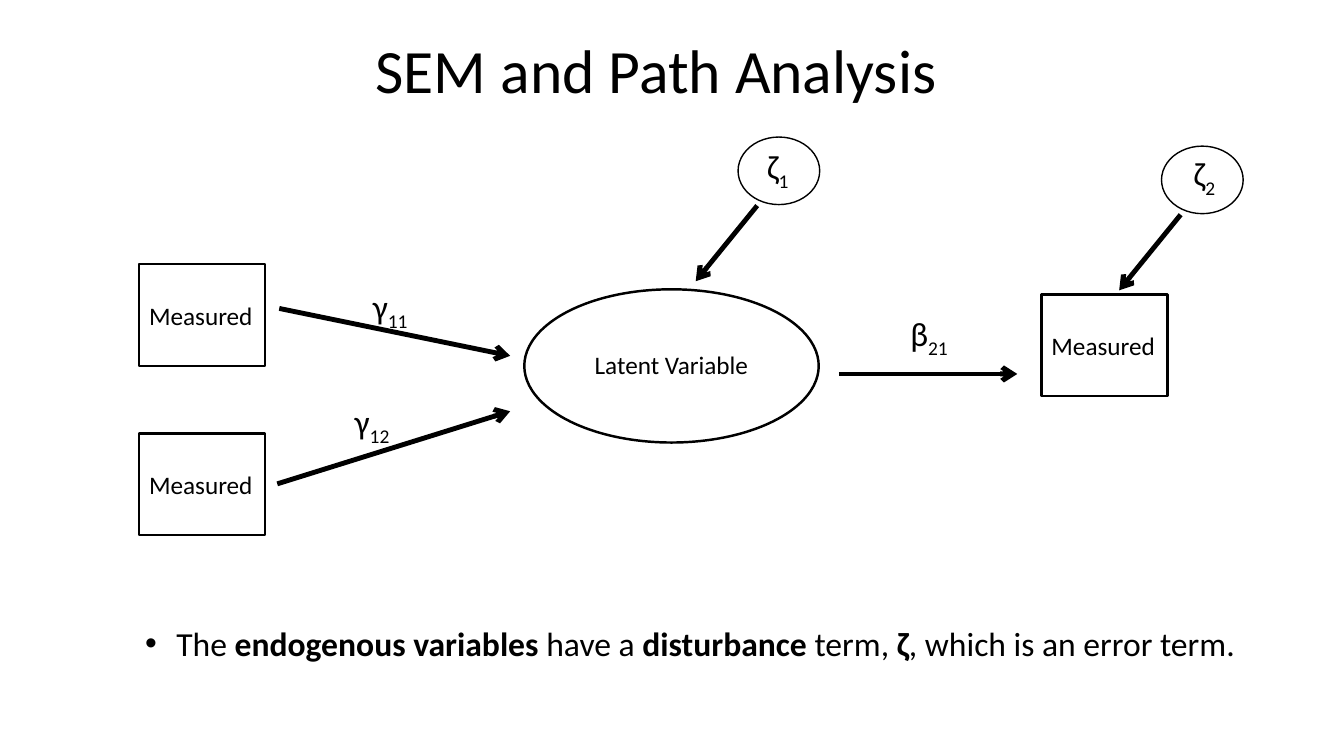
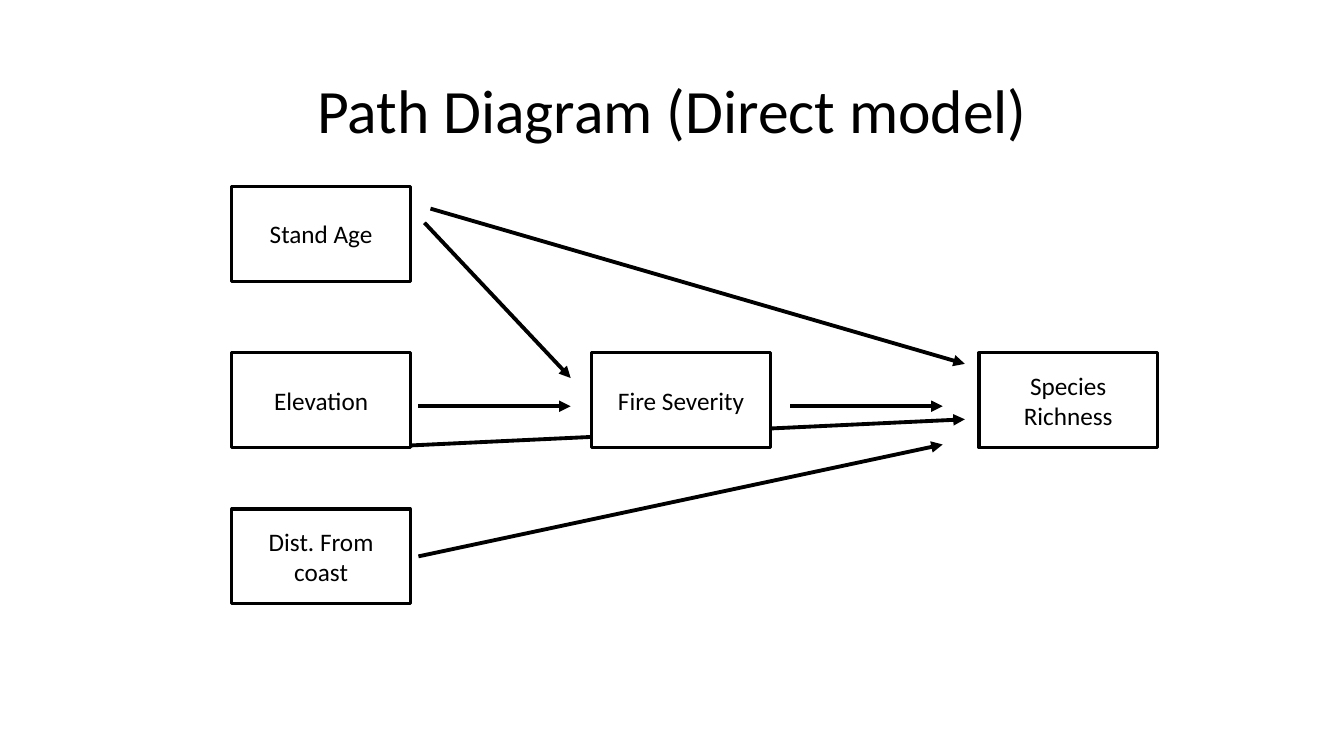
from dataclasses import dataclass

from lxml.etree import SubElement
from pptx import Presentation
from pptx.dml.color import RGBColor
from pptx.enum.shapes import MSO_CONNECTOR, MSO_SHAPE
from pptx.enum.text import MSO_ANCHOR as ANCHOR, PP_ALIGN as ALIGN
from pptx.oxml.ns import qn
from pptx.util import Inches, Pt


@dataclass(frozen=True)
class Theme:
    font: str = "Calibri"
    ink: RGBColor = RGBColor(0, 0, 0)
    paper: RGBColor = RGBColor(255, 255, 255)
    title: int = 44
    body: int = 24
    label: int = 18


THEME = Theme()
RECT, OVAL = MSO_SHAPE.RECTANGLE, MSO_SHAPE.OVAL


def write(slide, place, *runs, size=THEME.label, shape=None, outline=1.75, filled=False,
          align=ALIGN.LEFT, anchor=ANCHOR.TOP, wrap=True, spacing=None, right_inset=0.1, bullet=False):
    bounds = [Inches(length) for length in place]
    if shape is None:
        item = slide.shapes.add_textbox(*bounds)
    else:
        item = slide.shapes.add_shape(shape, *bounds)
        item.shadow.inherit = False
        item.line.color.rgb = THEME.ink
        item.line.width = Pt(outline)
        if filled:
            item.fill.solid()
            item.fill.fore_color.rgb = THEME.paper
        else:
            item.fill.background()
    frame = item.text_frame
    frame.word_wrap = wrap
    frame.vertical_anchor = anchor
    frame.margin_right = Inches(right_inset)
    paragraph = frame.paragraphs[0]
    paragraph.alignment = align
    if spacing:
        paragraph.line_spacing = spacing
    if bullet:
        properties = paragraph._p.get_or_add_pPr()
        properties.set("marL", str(Inches(0.31)))
        properties.set("indent", str(-Inches(0.31)))
        SubElement(properties, qn("a:buFont")).set("typeface", "Arial")
        SubElement(properties, qn("a:buChar")).set("char", "•")
    for content in runs:
        text, style = content if isinstance(content, tuple) else (content, "")
        run = paragraph.add_run()
        run.text = text
        run.font.name = THEME.font
        run.font.size = Pt(size)
        run.font.color.rgb = THEME.ink
        run.font.bold = style == "bold"
        if style == "sub":
            run.font._element.set("baseline", "-25000")


def arrow(slide, start, end, width, head):
    line = slide.shapes.add_connector(
        MSO_CONNECTOR.STRAIGHT, *[Inches(length) for length in (*start, *end)])
    line.line.color.rgb = THEME.ink
    line.line.width = Pt(width)
    SubElement(line.line._get_or_add_ln(), qn("a:tailEnd")).set("type", head)
    SubElement(line._element.spPr, qn("a:effectLst"))


deck = Presentation()
deck.slide_width, deck.slide_height = Inches(13.33), Inches(7.5)
blank = deck.slide_layouts[6]
title_style = dict(size=THEME.title, align=ALIGN.CENTER, anchor=ANCHOR.MIDDLE, spacing=0.9)

sem = deck.slides.add_slide(blank)
write(sem, (0.92, 0, 11.5, 1.45), "SEM and Path Analysis", right_inset=0.42, **title_style)

for left, top in [(1.38, 2.62), (1.38, 4.3), (10.33, 2.92)]:
    write(sem, (left, top, 1.25, 1.01), "Measured", shape=RECT, anchor=ANCHOR.MIDDLE)

write(sem, (5.2, 2.87, 2.92, 1.52), shape=OVAL)
write(sem, (5.8, 3.42, 1.74, 0.4), "Latent Variable", wrap=False)

for left, top in [(7.32, 1.36), (11.52, 1.45)]:
    write(sem, (left, top, 0.81, 0.67), shape=OVAL, outline=1)
    arrow(sem, (left + 0.19, top + 0.68), (left - 0.42, top + 1.43), 3.5, "arrow")

for symbol, index, left, top, width in [
    ("γ", "11", 3.6, 2.79, 0.63),
    ("γ", "12", 3.42, 3.93, 0.63),
    ("β", "21", 8.93, 3.06, 0.61),
    ("ζ", "1", 7.51, 1.4, 0.43),
    ("ζ", "2", 11.74, 1.47, 0.43),
]:
    write(sem, (left, top, width, 0.5), symbol, (index, "sub"), size=THEME.body, wrap=False)

for start, end in [
    ((2.77, 3.06), (5.06, 3.53)),
    ((2.75, 4.8), (5.06, 4.08)),
    ((8.32, 3.71), (10.09, 3.71)),
]:
    arrow(sem, start, end, 3.5, "arrow")

write(sem, (1.34, 6.13, 11.11, 0.5), "The ", ("endogenous variables ", "bold"), "have a",
      (" disturbance ", "bold"), "term, ", ("ζ", "bold"), ", which is an error term.",
      size=THEME.body, bullet=True)

direct = deck.slides.add_slide(blank)
arrow(direct, (4.06, 4.42), (9.57, 4.16), 2.75, "triangle")
write(direct, (0.92, 0.4, 11.5, 1.45), "Path Diagram (Direct model)", **title_style)

for variable, left, top in [
    ("Stand Age", 2.3, 1.85),
    ("Elevation", 2.3, 3.5),
    ("Dist. From coast", 2.3, 5.05),
    ("Fire Severity", 5.87, 3.5),
    ("Species Richness", 9.71, 3.5),
]:
    write(direct, (left, top, 1.77, 0.94), variable, shape=RECT, outline=2.25, filled=True,
          align=ALIGN.CENTER, anchor=ANCHOR.MIDDLE)

for start, end in [
    ((4.21, 2.21), (5.66, 3.75)),
    ((4.15, 4.03), (5.66, 4.03)),
    ((7.84, 4.03), (9.35, 4.03)),
    ((4.15, 5.52), (9.35, 4.41)),
    ((4.27, 2.07), (9.57, 3.61)),
]:
    arrow(direct, start, end, 2.75, "triangle")

deck.save("out.pptx")
